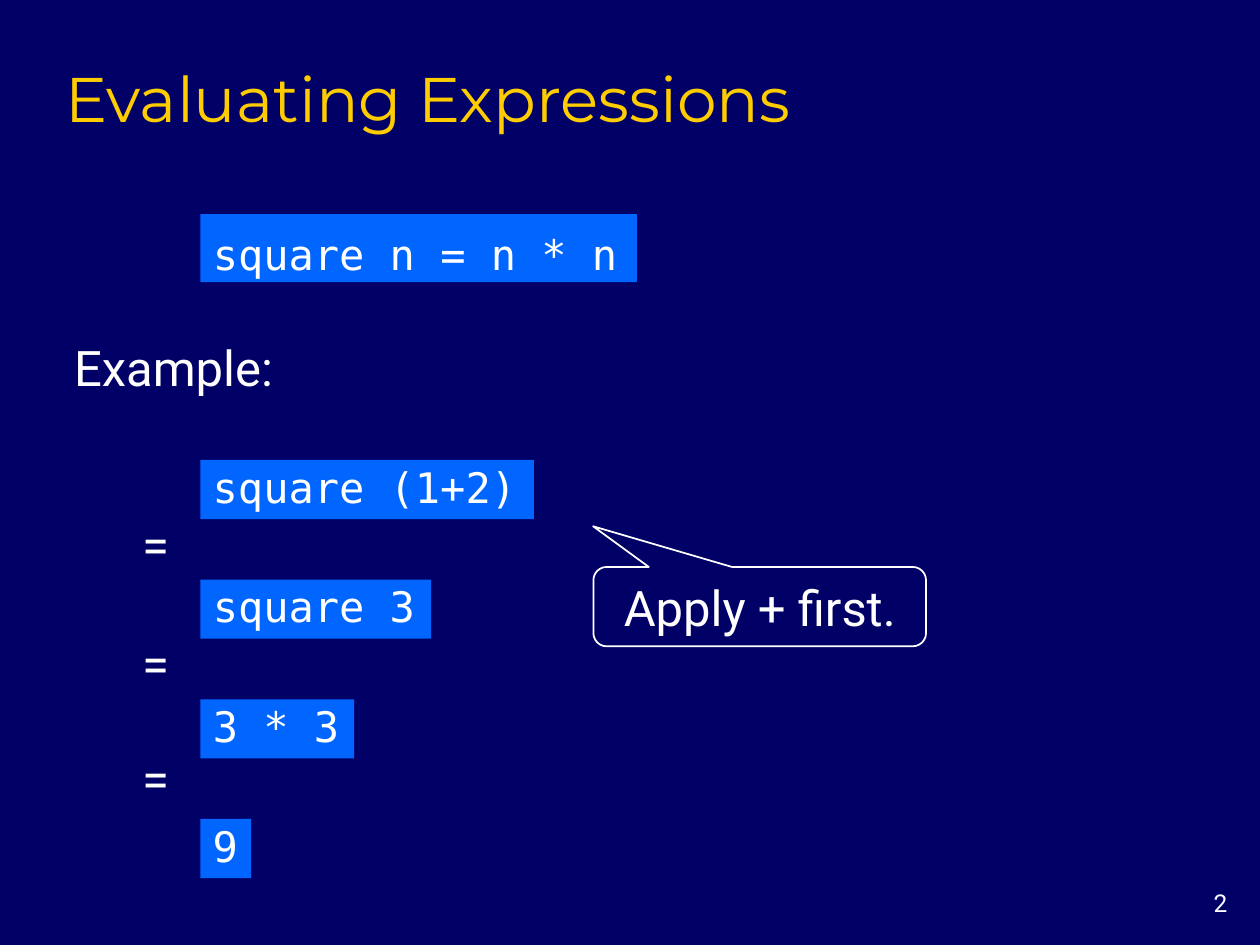
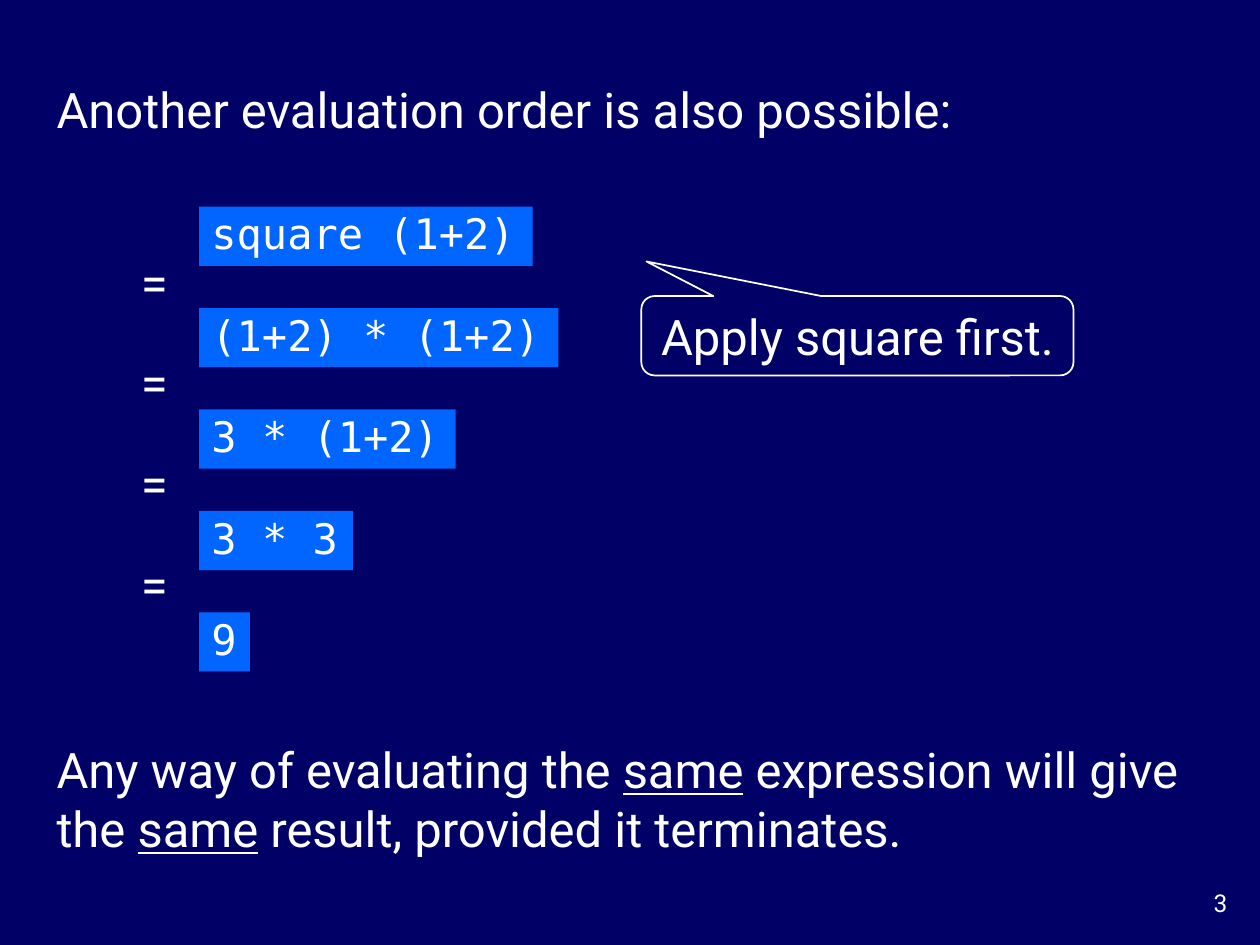
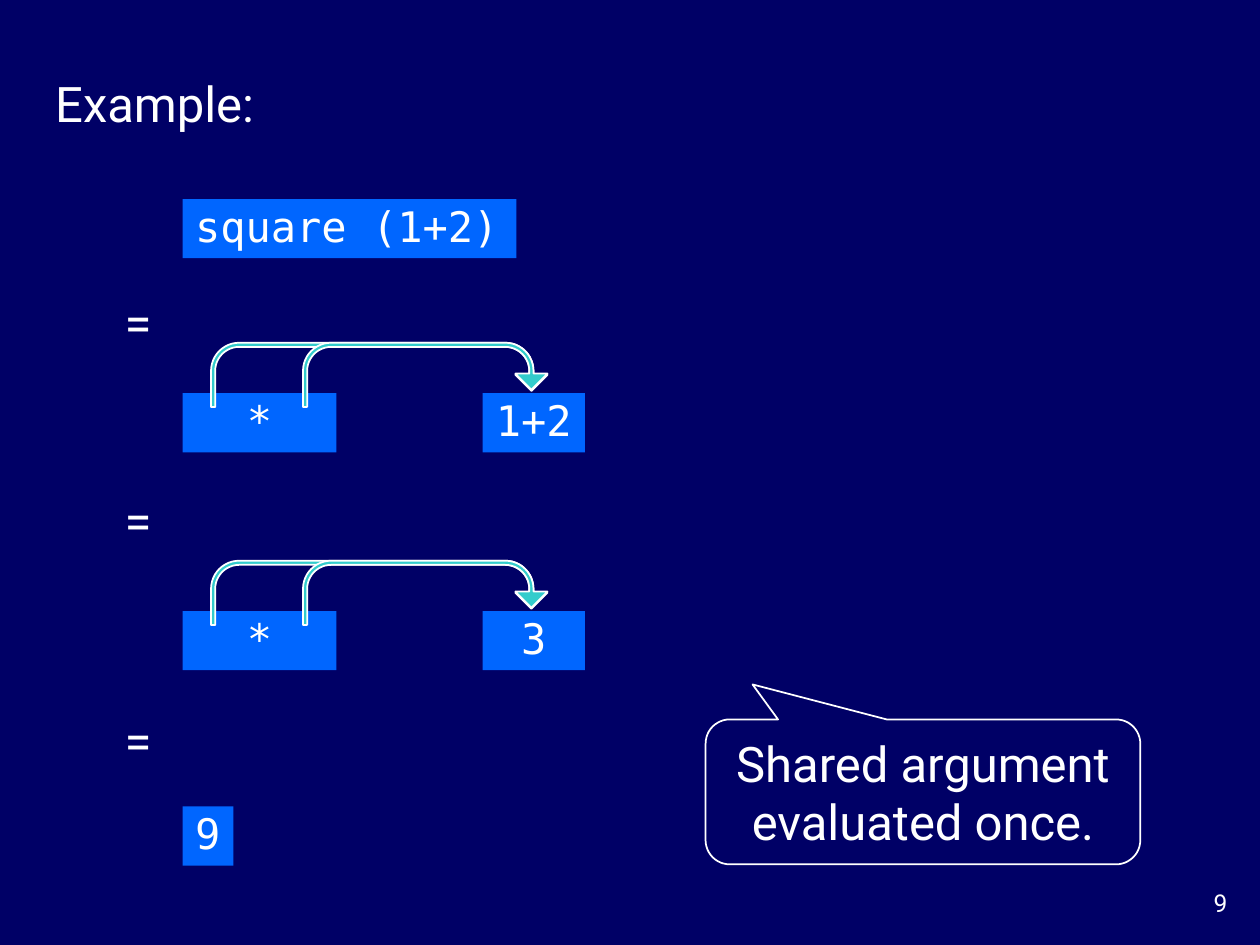
from pptx import Presentation
from pptx.dml.color import RGBColor
from pptx.enum.shapes import MSO_SHAPE
from pptx.enum.text import MSO_ANCHOR, PP_ALIGN
from pptx.util import Inches, Pt

COLOURS = {
    "background": "000066",
    "code": "0066FF",
    "text": "FFFFFF",
    "title": "FFCC00",
    "arrow": "33CCCC",
}
BODY_FONT, CODE_FONT, TITLE_FONT = "Roboto", "DejaVu Sans Mono", "Montserrat"

# Grid of square cells over the slide
COLUMNS, ROWS = 100, 75
WIDTH, HEIGHT = Inches(10), Inches(7.5)

# Sizes in grid cells
CHARACTER, CODE_PADDING, CODE_HEIGHT = 2.04, 2, 4.7
EQUALS_WIDTH, LINE_HEIGHT, EQUALS_INDENT = 4.8, 5.7, 5.95


def place(box):
    """Turn (column, row, columns, rows) into slide lengths."""
    column, row, columns, rows = box
    return (int(column * WIDTH / COLUMNS), int(row * HEIGHT / ROWS),
            int(columns * WIDTH / COLUMNS), int(rows * HEIGHT / ROWS))


def colour(name):
    return RGBColor.from_string(COLOURS[name])


def write(shape, runs, size=28, font=BODY_FONT, ink="text", align=PP_ALIGN.LEFT,
          anchor=MSO_ANCHOR.MIDDLE, wrap=True, spacing=None):
    """Fill a shape with one paragraph of (text, underlined) runs."""
    frame = shape.text_frame
    frame.word_wrap = wrap
    frame.vertical_anchor = anchor
    paragraph = frame.paragraphs[0]
    paragraph.alignment = align
    paragraph.line_spacing = spacing
    paragraph.font.size = Pt(size)
    paragraph.font.name = font
    paragraph.font.color.rgb = colour(ink)
    for text, underlined in runs:
        run = paragraph.add_run()
        run.text = text
        if underlined:
            run.font.underline = True


def add_text(shapes, box, text, **style):
    runs = [(text, False)] if isinstance(text, str) else text
    write(shapes.add_textbox(*place(box)), runs, **style)


def add_preset(shapes, kind, box, fill=None, line=None, adjustments=()):
    shape = shapes.add_shape(kind, *place(box))
    shape.shadow.inherit = False
    if fill:
        shape.fill.solid()
        shape.fill.fore_color.rgb = colour(fill)
    else:
        shape.fill.background()
    if line:
        shape.line.color.rgb = colour(line)
        shape.line.width = Pt(1)
    else:
        shape.line.fill.background()
    for index, value in enumerate(adjustments):
        shape.adjustments[index] = value
    return shape


def add_code(shapes, column, row, text, characters=None, height=CODE_HEIGHT, spacing=0.9):
    """Code box as wide as its text, or as a given number of characters."""
    width = CODE_PADDING + CHARACTER * (characters or len(text))
    box = add_preset(shapes, MSO_SHAPE.RECTANGLE, (column, row, width, height), "code")
    write(box, [(text, False)], size=24, font=CODE_FONT, wrap=False, spacing=spacing,
          align=PP_ALIGN.CENTER if characters else PP_ALIGN.LEFT)


def add_equals(shapes, code_column, row):
    add_text(shapes, (code_column - EQUALS_INDENT, row, EQUALS_WIDTH, LINE_HEIGHT), "=",
             align=PP_ALIGN.CENTER, wrap=False)


def add_callout(shapes, box, text, tip):
    callout = add_preset(shapes, MSO_SHAPE.ROUNDED_RECTANGULAR_CALLOUT, box,
                         line="text", adjustments=(*tip, 0.167))
    write(callout, [(text, False)], align=PP_ALIGN.CENTER)


def add_derivation(shapes, column, row, pitch, first, steps):
    """First expression, then evenly spaced (text, rise of its equals sign) steps."""
    add_code(shapes, column, row, first)
    for number, (text, rise) in enumerate(steps, start=1):
        step = shapes.add_group_shape().shapes
        step_row = row + number * pitch
        add_code(step, column, step_row, text)
        add_equals(step, column, step_row - rise)


def add_shared_step(shapes, column, row, rise, argument):
    """Product whose two operands point at one shared argument."""
    step = shapes.add_group_shape().shapes
    add_code(step, column, row, "*", characters=5)
    add_equals(step, column, row - rise)
    add_code(step, column + 23.8, row, argument, characters=3)
    arrow_end = column + 28.95
    for width, tip in ((26.7, 0.75), (19.4, 0.731)):
        add_preset(step, MSO_SHAPE.U_TURN_ARROW, (arrow_end - width, row - 4, width, 5.1),
                   "arrow", "text", (0.065, 0.25, 0.25, 0.438, tip))


def start_slide(presentation, number):
    """Blank slide with the shared background and page number."""
    slide = presentation.slides.add_slide(presentation.slide_layouts[6])
    slide.background.fill.solid()
    slide.background.fill.fore_color.rgb = colour("background")
    add_text(slide.shapes, (91.7, 70, 6.7, 3.3), number, size=14,
             align=PP_ALIGN.RIGHT, anchor=MSO_ANCHOR.TOP)
    return slide.shapes


def build_evaluating(presentation):
    shapes = start_slide(presentation, "2")
    add_derivation(shapes, 15.9, 36.5, 9.5, "square (1+2)",
                   [("square 3", 5.7), ("3 * 3", 5.7), ("9", 6.1)])
    # Title and definition
    add_text(shapes, (4.2, 4.2, 93.1, 7.5), "Evaluating Expressions", size=36,
             font=TITLE_FONT, ink="title", anchor=MSO_ANCHOR.TOP)
    add_code(shapes, 15.9, 17, "square n = n * n", height=5.4, spacing=1.2)
    add_text(shapes, (4.9, 26.3, 92.4, LINE_HEIGHT), "Example:")
    add_callout(shapes, (47.1, 45, 26.4, 6.3), "Apply + first.", (-0.501, -1.013))


def build_other_order(presentation):
    shapes = start_slide(presentation, "3")
    add_text(shapes, (3.5, 5.8, 92.9, LINE_HEIGHT), "Another evaluation order is also possible:")
    add_derivation(shapes, 15.8, 16.4, 8.05, "square (1+2)",
                   [("(1+2) * (1+2)", 4.9), ("3 * (1+2)", 5), ("3 * 3", 5.1), ("9", 5.1)])
    # Conclusion
    add_text(shapes, (3.5, 58.2, 92.9, 10.4), [
        ("Any way of evaluating the ", False), ("same", True),
        (" expression will give the ", False), ("same", True),
        (" result, provided it terminates.", False)])
    add_callout(shapes, (50.9, 23.5, 34.3, 6.3), "Apply square first.", (-0.488, -0.936))


def build_sharing(presentation):
    shapes = start_slide(presentation, "9")
    column = 14.5
    add_code(shapes, column, 15.8, "square (1+2)")
    # Result
    result = shapes.add_group_shape().shapes
    add_code(result, column, 64, "9")
    add_equals(result, column, 55.9)
    # Steps with a shared argument
    for row, rise, argument in ((31.2, 8.5, "1+2"), (48.5, 10.1, "3")):
        add_shared_step(shapes, column, row, rise, argument)
    add_text(shapes, (3.4, 5.3, 18, LINE_HEIGHT), "Example:")
    add_callout(shapes, (56, 57.1, 34.5, 11.5), "Shared argument evaluated once.",
                (-0.392, -0.742))


presentation = Presentation()
presentation.slide_width, presentation.slide_height = WIDTH, HEIGHT
for build in (build_evaluating, build_other_order, build_sharing):
    build(presentation)
presentation.save("out.pptx")
